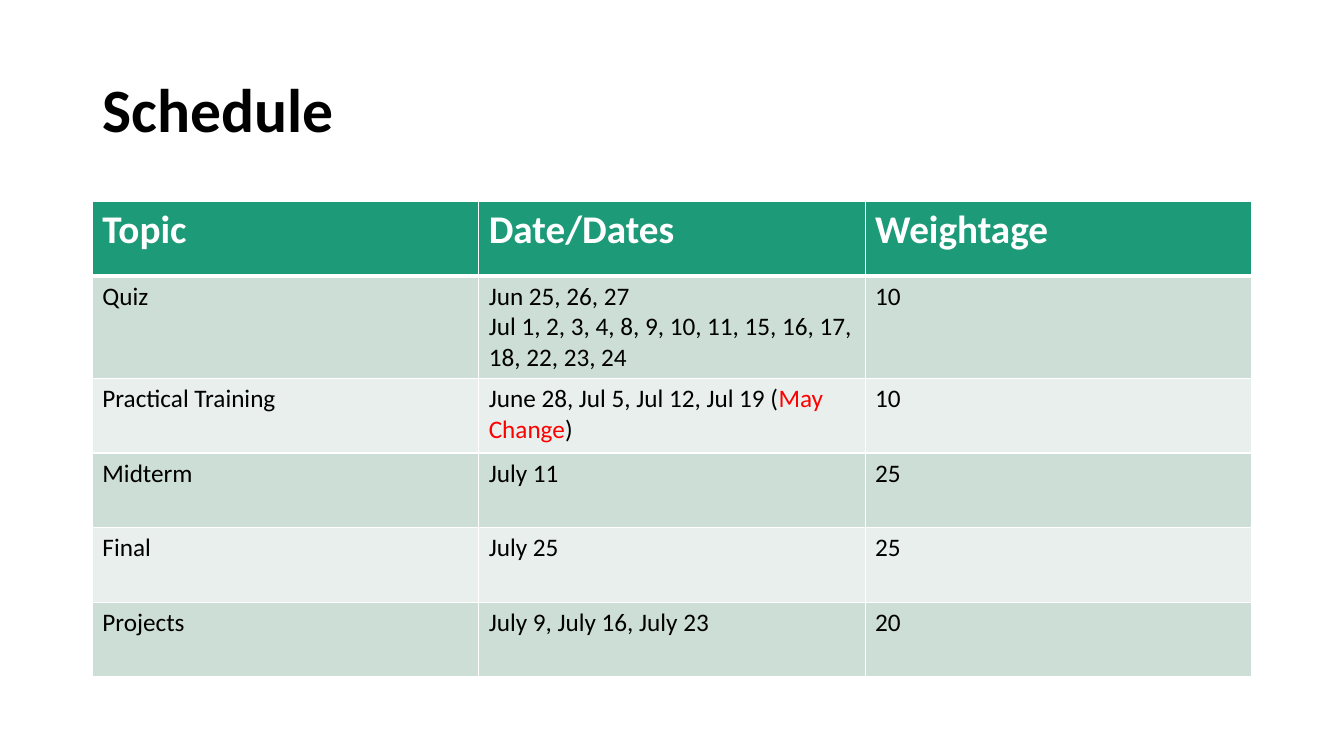
from typing import NamedTuple

from lxml import etree
from pptx import Presentation
from pptx.dml.color import RGBColor
from pptx.enum.text import MSO_ANCHOR, MSO_AUTO_SIZE, PP_ALIGN
from pptx.oxml.ns import qn
from pptx.util import Emu, Pt

LEFT = PP_ALIGN.LEFT
MIDDLE = MSO_ANCHOR.MIDDLE
NO_AUTOFIT = MSO_AUTO_SIZE.NONE

BLACK = RGBColor(0x00, 0x00, 0x00)
WHITE = RGBColor(0xFF, 0xFF, 0xFF)
RED = RGBColor(0xFF, 0x00, 0x00)
GREEN = RGBColor(0x1D, 0x9A, 0x78)
BANDS = (RGBColor(0xCD, 0xDE, 0xD6), RGBColor(0xE8, 0xEF, 0xEC))

FONT = "Calibri"
EMU_PER_PX = 9525
SLIDE_W, SLIDE_H = 1280, 720
MARGIN = 88
COLUMN_W = 368
TITLE_TOP, TITLE_H = 38, 139
TABLE_TOP = 192
ROW_H, QUIZ_ROW_H = 71, 97


class Span(NamedTuple):
    text: str
    color: RGBColor = BLACK


class Entry(NamedTuple):
    topic: str
    dates: list[list[Span]]
    weightage: str
    height: int = ROW_H


HEADINGS = ("Topic", "Date/Dates", "Weightage")
ENTRIES = [
    Entry("Quiz", [[Span("Jun 25, 26, 27")],
                   [Span("Jul 1, 2, 3, 4, 8, 9, 10, 11, 15, 16, 17, 18, 22, 23, 24")]],
          "10", QUIZ_ROW_H),
    Entry("Practical Training",
          [[Span("June 28, Jul 5, Jul 12, Jul 19 ("), Span("May Change", RED), Span(")")]],
          "10"),
    Entry("Midterm", [[Span("July 11")]], "25"),
    Entry("Final", [[Span("July 25")]], "25"),
    Entry("Projects", [[Span("July 9, July 16, July 23")]], "20"),
]


def px(length: int) -> Emu:
    return Emu(length * EMU_PER_PX)


def add_span(paragraph, span: Span, size: int, bold: bool) -> None:
    run = paragraph.add_run()
    run.text = span.text
    run.font.name = FONT
    run.font.size = Pt(size)
    run.font.bold = bold
    run.font.color.rgb = span.color


def set_borders(cell, top: int, bottom: int) -> None:
    """Draw white cell borders, with top and bottom widths in points."""
    properties = cell._tc.get_or_add_tcPr()
    widths = {"a:lnL": 1, "a:lnR": 1, "a:lnT": top, "a:lnB": bottom}
    for position, (tag, width) in enumerate(widths.items()):
        line = etree.Element(qn(tag), w=str(Pt(width)))
        fill = etree.SubElement(line, qn("a:solidFill"))
        etree.SubElement(fill, qn("a:srgbClr"), val=str(WHITE))
        properties.insert(position, line)


def fill_cell(cell, lines: list[list[Span]], size: int, bold: bool, color: RGBColor) -> None:
    cell.fill.solid()
    cell.fill.fore_color.rgb = color
    frame = cell.text_frame
    for number, spans in enumerate(lines):
        paragraph = frame.add_paragraph() if number else frame.paragraphs[0]
        for span in spans:
            add_span(paragraph, span, size, bold)


def add_title(slide) -> None:
    title = slide.shapes.title
    title.left, title.top = px(MARGIN), px(TITLE_TOP)
    title.width, title.height = px(COLUMN_W * len(HEADINGS)), px(TITLE_H)
    frame = title.text_frame
    frame.auto_size = NO_AUTOFIT
    frame.vertical_anchor = MIDDLE
    heading = frame.paragraphs[0]
    heading.alignment = LEFT
    heading.line_spacing = 0.9
    add_span(heading, Span("Schedule"), 44, True)


def add_schedule(slide) -> None:
    heights = [ROW_H] + [entry.height for entry in ENTRIES]
    schedule = slide.shapes.add_table(
        len(heights), len(HEADINGS), px(MARGIN), px(TABLE_TOP),
        px(COLUMN_W * len(HEADINGS)), px(sum(heights))).table
    for column in schedule.columns:
        column.width = px(COLUMN_W)
    for row, height in zip(schedule.rows, heights):
        row.height = px(height)

    for column, heading in enumerate(HEADINGS):
        cell = schedule.cell(0, column)
        fill_cell(cell, [[Span(heading, WHITE)]], 28, True, GREEN)
        set_borders(cell, top=1, bottom=3)

    for row, entry in enumerate(ENTRIES, start=1):
        contents = ([[Span(entry.topic)]], entry.dates, [[Span(entry.weightage)]])
        for column, lines in enumerate(contents):
            cell = schedule.cell(row, column)
            fill_cell(cell, lines, 18, False, BANDS[(row - 1) % 2])
            set_borders(cell, top=3 if row == 1 else 1, bottom=1)


def main() -> None:
    deck = Presentation()
    deck.slide_width, deck.slide_height = px(SLIDE_W), px(SLIDE_H)
    title_only = deck.slide_layouts[5]
    slide = deck.slides.add_slide(title_only)
    add_title(slide)
    add_schedule(slide)
    deck.save("out.pptx")


if __name__ == "__main__":
    main()
